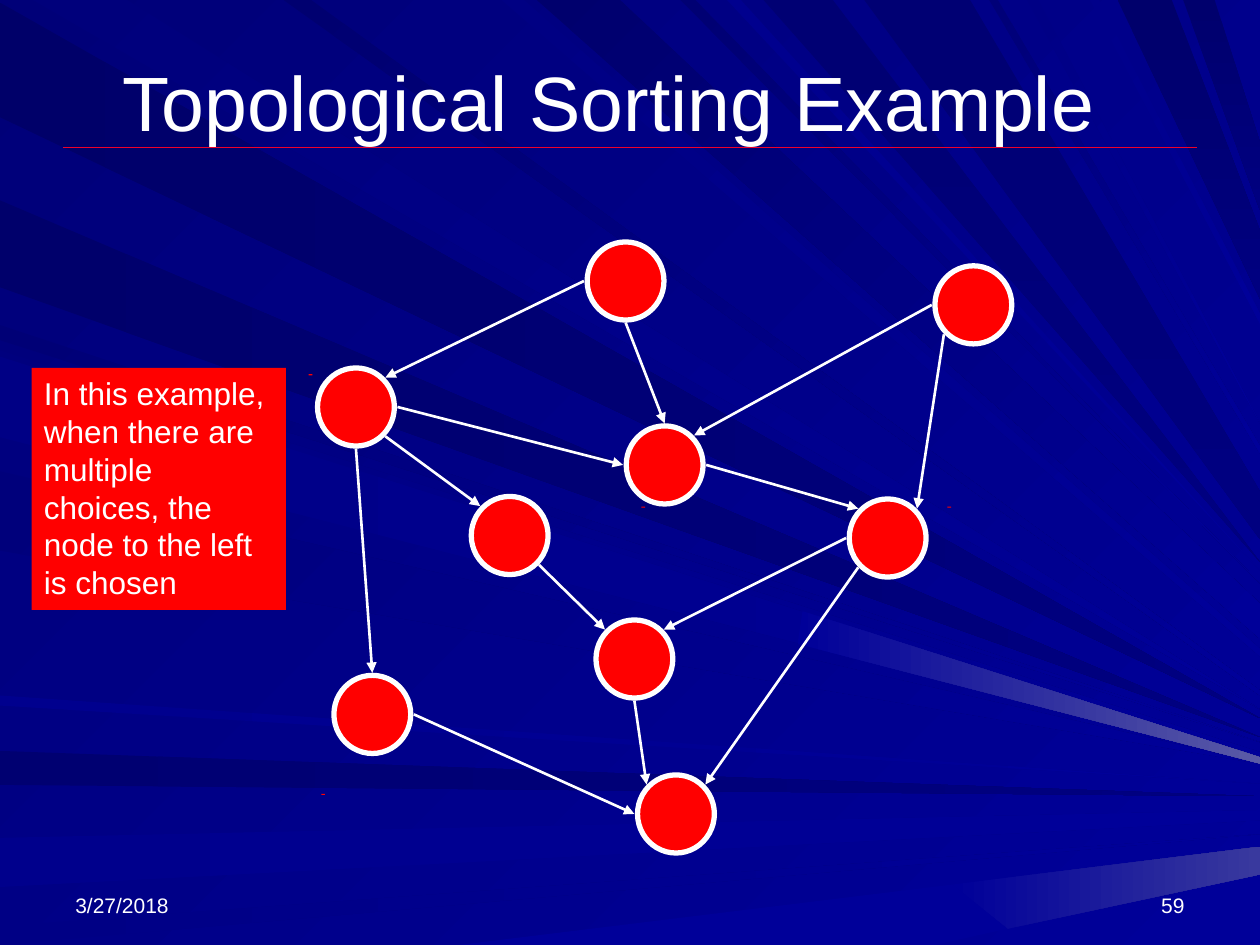
from dataclasses import dataclass
from typing import NamedTuple

import pptx
import pptx.dml.color
import pptx.enum.shapes
import pptx.enum.text
import pptx.oxml
import pptx.oxml.ns
import pptx.util

COLORS = {"red": "FF0000", "white": "FFFFFF", "rule": "EF0129", "night": "000078",
          "deep": "000080", "glow": "000099", "haze": "5A5AA6", "mist": "39399E"}
MSO_SHAPE = pptx.enum.shapes.MSO_SHAPE
ALIGN = pptx.enum.text.PP_ALIGN
ANCHOR = pptx.enum.text.MSO_ANCHOR
SLIDE_WIDTH, SLIDE_HEIGHT = 10, 7.5
NODE_WIDTH, NODE_HEIGHT = 0.61, 0.62
REACH = 0.33


class Ray(NamedTuple):
    near: float
    far: float
    tip: float
    shade: str
    spread: float = 0


class Fan(NamedTuple):
    edge: str
    end: str
    angle: int
    rays: list


class Beam(NamedTuple):
    start: str
    end: str
    points: list


class Edge(NamedTuple):
    source: str
    source_site: str
    target: str
    target_site: str


@dataclass
class Label:
    text: str
    box: tuple
    size: int
    align: ALIGN = ALIGN.LEFT
    anchor: ANCHOR = ANCHOR.BOTTOM
    fill: str = ""


FANS = [
    Fan("left", "deep", 0, [
        Ray(0.02, 0.93, 5.7, "69"), Ray(1.59, 2.28, 5.85, "6B"), Ray(5.96, 6.23, 6.32, "71")]),
    Fan("top", "glow", 45, [
        Ray(0.26, 1.01, 5.63, "7B"), Ray(3.98, 4.16, 5.18, "83", 0.03),
        Ray(4.26, 4.92, 4.93, "6D", 0.14), Ray(5.4, 5.52, 4.63, "73"),
        Ray(2.25, 2.47, 5.5, "70", 0.02), Ray(5.77, 5.88, 4.53, "8E"),
        Ray(7.85, 7.92, 3.57, "78", 0.03), Ray(8.15, 8.24, 3.36, "85"),
        Ray(8.65, 8.72, 2.53, "8A", 0.04)]),
    Fan("top", "deep", 90, [
        Ray(6.06, 6.61, 4.46, "73"), Ray(8.87, 9.3, 2.1, "6B", 0.27),
        Ray(9.39, 9.64, 1.4, "6D", 0.27), Ray(6.86, 7.7, 4.09, "73", 0.19)]),
    Fan("left", "glow", 45, [
        Ray(2.58, 2.7, 5.89, "76"), Ray(2.78, 3.42, 6, "7E", 0.03), Ray(3.74, 4.37, 6.06, "7B")]),
    Fan("left", "glow", 0, [
        Ray(6.65, 7.04, 6.47, "8C", 0.04), Ray(7.35, 7.5, 6.62, "85"),
        Ray(5.52, 5.6, 6.22, "8E"), Ray(2.83, 3.47, 6.03, "85", 0.02)]),
]
BEAMS = [
    Beam("glow", "glow", [(7.42, 7.5), (8, 7.37), (7.56, 7.02), (3.64, 7.5)]),
    Beam("glow", "mist", [(10, 6.94), (10, 6.72), (7.56, 7.02), (8, 7.37)]),
    Beam("glow", "haze", [(10, 6.01), (6.37, 4.85), (6.33, 5.11), (10, 6.06)]),
]
NODES = {
    "top": (4.66, 1.92), "lower": (4.73, 4.92), "center": (4.97, 3.38),
    "bottom_left": (2.65, 5.36), "right": (6.74, 3.96), "inner": (3.74, 3.94),
    "top_right": (7.42, 2.11), "left": (2.52, 2.92), "sink": (5.06, 6.15),
}
EDGES = [
    Edge("top", "w", "left", "ne"), Edge("top", "s", "center", "n"),
    Edge("top_right", "w", "center", "ne"), Edge("right", "w", "lower", "ne"),
    Edge("right", "sw", "sink", "ne"), Edge("bottom_left", "e", "sink", "w"),
    Edge("lower", "s", "sink", "nw"), Edge("inner", "se", "lower", "nw"),
    Edge("left", "se", "inner", "nw"), Edge("left", "s", "bottom_left", "n"),
    Edge("left", "e", "center", "w"), Edge("center", "e", "right", "nw"),
    Edge("top_right", "sw", "right", "ne"),
]
SPECKS = [(2.45, 2.97), (5.09, 4.02), (7.52, 4.02), (2.55, 6.3)]
LABELS = [
    Label("Topological Sorting Example ", (0.42, 0.17, 9, 1.25), 44, ALIGN.CENTER, ANCHOR.MIDDLE),
    Label("3/27/2018", (0.5, 6.83, 2.33, 0.5), 12),
    Label("59", (7.17, 6.83, 2.33, 0.5), 12, ALIGN.RIGHT),
]
NOTE = Label("In this example, when there are multiple choices, the node to the left is chosen",
             (0.25, 2.92, 2.02, 1.92), 18, anchor=ANCHOR.TOP, fill="red")


def lengths(*inches: float) -> list:
    return [pptx.util.Cm(value * 2.54) for value in inches]


def rgb(value: str) -> pptx.dml.color.RGBColor:
    return pptx.dml.color.RGBColor.from_string(value)


def apply(target, values: dict) -> None:
    for name, value in values.items():
        setattr(target, name, value)


def paint(fill, start: str, end: str, angle: int = 0) -> None:
    if start == end:
        fill.solid()
        fill.fore_color.rgb = rgb(start)
        return
    fill.gradient()
    fill.gradient_angle = (360 - angle) % 360
    for stop, color in zip(fill.gradient_stops, (start, end)):
        stop.color.rgb = rgb(color)


def draw_polygon(slide, corners: list, start: str, end: str, angle: int = 0) -> None:
    points = [tuple(lengths(*corner)) for corner in corners]
    builder = slide.shapes.build_freeform(*points[0])
    builder.add_line_segments(points[1:])
    shape = builder.convert_to_shape()
    shape.shadow.inherit = False
    shape.line.fill.background()
    paint(shape.fill, start, end, angle)


def draw_fan(slide, fan: Fan) -> None:
    for ray in fan.rays:
        base = [(0, place) if fan.edge == "left" else (place, 0) for place in (ray.near, ray.far)]
        tips = [(SLIDE_WIDTH, ray.tip + ray.spread), (SLIDE_WIDTH, ray.tip - ray.spread)]
        if fan.edge == "top":
            tips.reverse()
        draw_polygon(slide, base + tips, f"0000{ray.shade}", COLORS[fan.end], fan.angle)


def draw_shape(slide, kind: MSO_SHAPE, box: tuple, outline: float = 0) -> None:
    shape = slide.shapes.add_shape(kind, *lengths(*box))
    shape.shadow.inherit = False
    paint(shape.fill, COLORS["red"], COLORS["red"])
    if outline:
        shape.line.color.rgb = rgb(COLORS["white"])
        shape.line.width = pptx.util.Pt(outline)
    else:
        shape.line.fill.background()


def draw_line(slide, start: tuple, end: tuple, color: str, width: float, arrow: bool) -> None:
    connector = slide.shapes.add_connector(
        pptx.enum.shapes.MSO_CONNECTOR.STRAIGHT, *lengths(*start, *end))
    connector.line.color.rgb = rgb(COLORS[color])
    connector.line.width = pptx.util.Pt(width)
    namespace = pptx.oxml.ns.nsdecls("a")
    properties = connector._element.spPr
    if arrow:
        outline = properties.find(pptx.oxml.ns.qn("a:ln"))
        outline.append(pptx.oxml.parse_xml(f'<a:tailEnd {namespace} type="triangle"/>'))
    properties.append(pptx.oxml.parse_xml(f"<a:effectLst {namespace}/>"))


def draw_label(slide, label: Label) -> None:
    shape = slide.shapes.add_textbox(*lengths(*label.box))
    if label.fill:
        paint(shape.fill, COLORS[label.fill], COLORS[label.fill])
    apply(shape.text_frame, {"word_wrap": True, "vertical_anchor": label.anchor, "text": label.text})
    paragraph = shape.text_frame.paragraphs[0]
    paragraph.alignment = label.align
    font = paragraph.runs[0].font
    apply(font, {"name": "Arial", "size": pptx.util.Pt(label.size)})
    font.color.rgb = rgb(COLORS["white"])


def site_point(node: str, site: str) -> tuple:
    left, top = NODES[node]
    reach = REACH / len(site) ** 0.5
    across = ("e" in site) - ("w" in site)
    down = ("s" in site) - ("n" in site)
    return left + NODE_WIDTH / 2 + across * reach, top + NODE_HEIGHT / 2 + down * reach


def main() -> None:
    presentation = pptx.Presentation()
    width, height = lengths(SLIDE_WIDTH, SLIDE_HEIGHT)
    apply(presentation, {"slide_width": width, "slide_height": height})
    slide = presentation.slides.add_slide(presentation.slide_layouts[6])
    paint(slide.background.fill, COLORS["night"], COLORS["glow"], 45)
    for fan in FANS:
        draw_fan(slide, fan)
    for beam in BEAMS:
        draw_polygon(slide, beam.points, COLORS[beam.start], COLORS[beam.end])
    draw_line(slide, (0.5, 1.17), (9.5, 1.17), "rule", 0.75, False)
    for label in LABELS:
        draw_label(slide, label)
    for speck in SPECKS:
        draw_shape(slide, MSO_SHAPE.RECTANGLE, (*speck, 0.03, 0.01))
    for corner in NODES.values():
        draw_shape(slide, MSO_SHAPE.OVAL, (*corner, NODE_WIDTH, NODE_HEIGHT), 3)
    for edge in EDGES:
        draw_line(slide, site_point(edge.source, edge.source_site),
                  site_point(edge.target, edge.target_site), "white", 1.5, True)
    draw_label(slide, NOTE)
    presentation.save("out.pptx")


if __name__ == "__main__":
    main()
